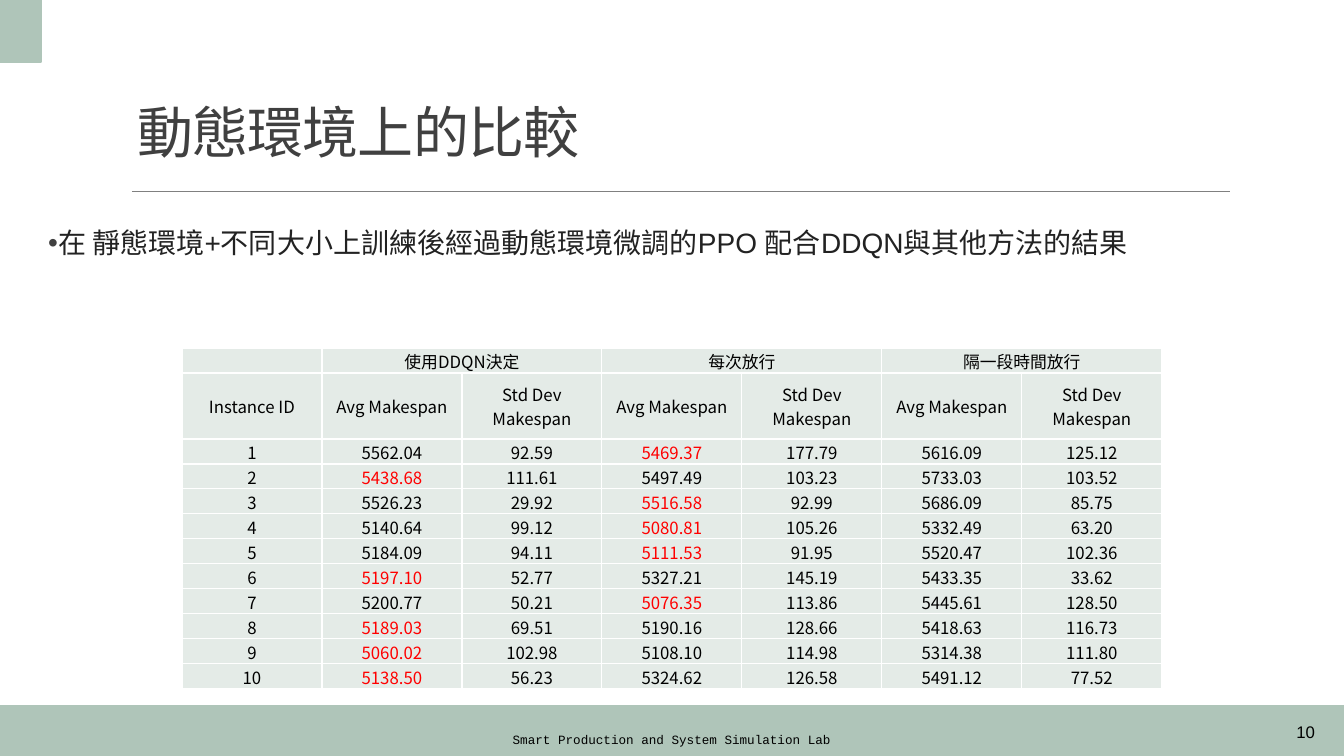
"""Build the slide comparing scheduling methods in the dynamic environment."""
from lxml import etree
from pptx import Presentation
from pptx.dml.color import RGBColor
from pptx.enum.shapes import MSO_CONNECTOR, MSO_SHAPE
from pptx.enum.text import MSO_ANCHOR, MSO_AUTO_SIZE, PP_ALIGN
from pptx.oxml.ns import qn
from pptx.util import Pt

PX = 914400 / 100.8
RECTANGLE = MSO_SHAPE.RECTANGLE
STRAIGHT = MSO_CONNECTOR.STRAIGHT
MIDDLE, BOTTOM = MSO_ANCHOR.MIDDLE, MSO_ANCHOR.BOTTOM
LEFT, CENTER, RIGHT = PP_ALIGN.LEFT, PP_ALIGN.CENTER, PP_ALIGN.RIGHT
NO_AUTOFIT = MSO_AUTO_SIZE.NONE

SAGE = RGBColor(0xAF, 0xC5, 0xB9)
PALE_SAGE = RGBColor(0xE4, 0xEB, 0xE7)
RULE_GRAY = RGBColor(0x80, 0x80, 0x80)
TITLE_GRAY = RGBColor(0x40, 0x40, 0x40)
BODY_GRAY = RGBColor(0x22, 0x22, 0x22)
BLACK = RGBColor(0, 0, 0)
RED = RGBColor(0xFF, 0, 0)
WHITE = RGBColor(0xFF, 0xFF, 0xFF)
CJK_FONT = "Noto Sans CJK SC"

METHODS = ["使用DDQN決定", "每次放行", "隔一段時間放行"]
MEASURES = ["Avg Makespan", "Std Dev Makespan"]
RESULTS = [
    ["5562.04", "92.59", "5469.37", "177.79", "5616.09", "125.12"],
    ["5438.68", "111.61", "5497.49", "103.23", "5733.03", "103.52"],
    ["5526.23", "29.92", "5516.58", "92.99", "5686.09", "85.75"],
    ["5140.64", "99.12", "5080.81", "105.26", "5332.49", "63.20"],
    ["5184.09", "94.11", "5111.53", "91.95", "5520.47", "102.36"],
    ["5197.10", "52.77", "5327.21", "145.19", "5433.35", "33.62"],
    ["5200.77", "50.21", "5076.35", "113.86", "5445.61", "128.50"],
    ["5189.03", "69.51", "5190.16", "128.66", "5418.63", "116.73"],
    ["5060.02", "102.98", "5108.10", "114.98", "5314.38", "111.80"],
    ["5138.50", "56.23", "5324.62", "126.58", "5491.12", "77.52"],
]


def px(*lengths):
    """Turn pixel lengths into EMU."""
    return [round(length * PX) for length in lengths]


def write(text_frame, text, size, font_name, color, align):
    """Set one paragraph of text, format it and return it."""
    text_frame.text = text
    paragraph = text_frame.paragraphs[0]
    paragraph.alignment = align
    for run in paragraph.runs:
        run.font.size = Pt(size)
        run.font.name = font_name
        run.font.color.rgb = color
        etree.SubElement(run.font._element, qn("a:ea"), typeface=CJK_FONT)
    return paragraph


presentation = Presentation()
presentation.slide_width, presentation.slide_height = px(1344, 756)
slide = presentation.slides.add_slide(presentation.slide_layouts[1])
title, body = slide.placeholders

for box in [(0, 706, 1344, 50), (0, 0, 41, 62)]:
    block = slide.shapes.add_shape(RECTANGLE, *px(*box))
    block.shadow.inherit = False
    block.fill.solid()
    block.fill.fore_color.rgb = SAGE
    block.line.color.rgb = SAGE
    block.line.width = Pt(1.25)

rule = slide.shapes.add_connector(STRAIGHT, *px(132, 191, 1230, 191))
rule.line.color.rgb = RULE_GRAY
rule.line.width = Pt(0.5)
etree.SubElement(rule._element.spPr, qn("a:effectLst"))

title.left, title.top, title.width, title.height = px(127, 110, 1054, 60)
title.text_frame.auto_size = NO_AUTOFIT
title.text_frame.vertical_anchor = BOTTOM
heading = write(title.text_frame, "動態環境上的比較", 40, CJK_FONT, TITLE_GRAY, LEFT)
heading.line_spacing = 0.85
heading.runs[0].font._element.set("spc", "-50")

body.left, body.top, body.width, body.height = px(48, 204, 1277, 423)
body.text_frame.auto_size = NO_AUTOFIT
body.text_frame.margin_left = body.text_frame.margin_right = 0
summary = write(
    body.text_frame,
    "在 靜態環境+不同大小上訓練後經過動態環境微調的PPO 配合DDQN與其他方法的結果",
    20, "Arial", BODY_GRAY, LEFT)
properties = summary._p.get_or_add_pPr()
indent = px(10)[0]
properties.set("marL", str(indent))
properties.set("indent", str(-indent))
bullet_color = etree.SubElement(properties, qn("a:buClr"))
etree.SubElement(bullet_color, qn("a:srgbClr"), val=str(TITLE_GRAY))
etree.SubElement(properties, qn("a:buFont"), typeface="Arial")
etree.SubElement(properties, qn("a:buChar"), char="•")
summary.line_spacing = 1.5
summary.space_before = Pt(0)
summary.space_after = Pt(2)

for box, text, size, font_name, align in [
    ((406, 725, 531, 28), "Smart Production and System Simulation Lab", 9, "Courier New", CENTER),
    ((1181, 712, 144, 40), "10", 12, "Arial", RIGHT),
]:
    footer = slide.shapes.add_textbox(*px(*box))
    footer.text_frame.word_wrap = True
    footer.text_frame.vertical_anchor = MIDDLE
    write(footer.text_frame, text, size, font_name, BLACK, align)

method_row = [""]
for method in METHODS:
    method_row += [method, ""]
rows = [method_row, ["Instance ID"] + MEASURES * len(METHODS)]
rows += [[str(number)] + values for number, values in enumerate(RESULTS, 1)]
row_heights = [25, 66] + [25] * len(RESULTS)
column_count = len(method_row)
frame = slide.shapes.add_table(
    len(rows), column_count, *px(182, 348, 140 * column_count, sum(row_heights)))
table = frame.table
table.first_row = table.horz_banding = False
for column in table.columns:
    column.width = px(140)[0]

for row_index, values in enumerate(rows):
    table.rows[row_index].height = px(row_heights[row_index])[0]
    best = min(values[1::2], key=float) if row_index > 1 else None
    for column_index, text in enumerate(values):
        cell = table.cell(row_index, column_index)
        cell.vertical_anchor = MIDDLE
        cell.margin_left = cell.margin_right = cell.margin_top = px(1)[0]
        cell.margin_bottom = 0
        is_best = column_index % 2 == 1 and text == best
        paragraph = write(cell.text_frame, text, 12, CJK_FONT, RED if is_best else BLACK, CENTER)
        if not text:
            etree.SubElement(paragraph._p, qn("a:endParaRPr"), sz="1200")
        cell_properties = cell._tc.get_or_add_tcPr()
        for side in ["a:lnL", "a:lnR", "a:lnT", "a:lnB"]:
            border = etree.SubElement(cell_properties, qn(side), w=str(Pt(1)))
            border_fill = etree.SubElement(border, qn("a:solidFill"))
            etree.SubElement(border_fill, qn("a:srgbClr"), val=str(WHITE))
        cell.fill.solid()
        cell.fill.fore_color.rgb = PALE_SAGE

for column_index in range(1, column_count, 2):
    table.cell(0, column_index).merge(table.cell(0, column_index + 1))

presentation.save("out.pptx")
